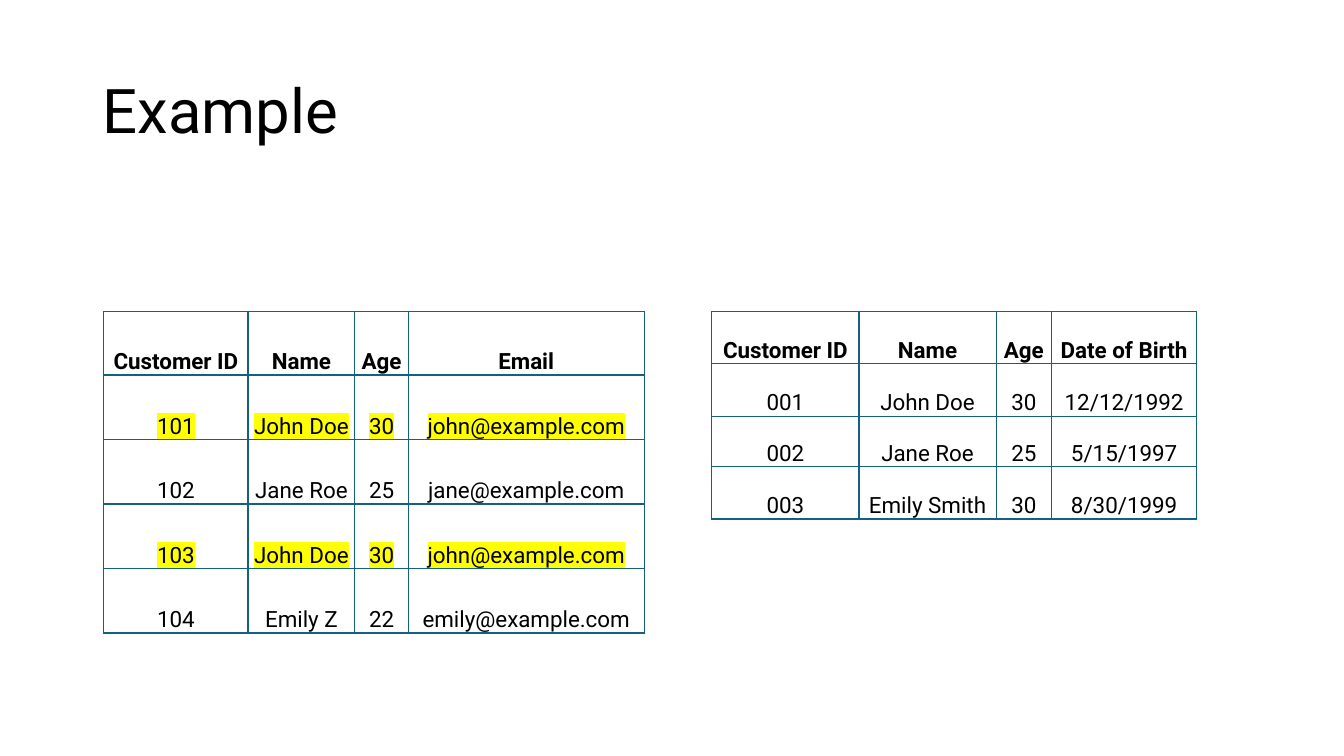
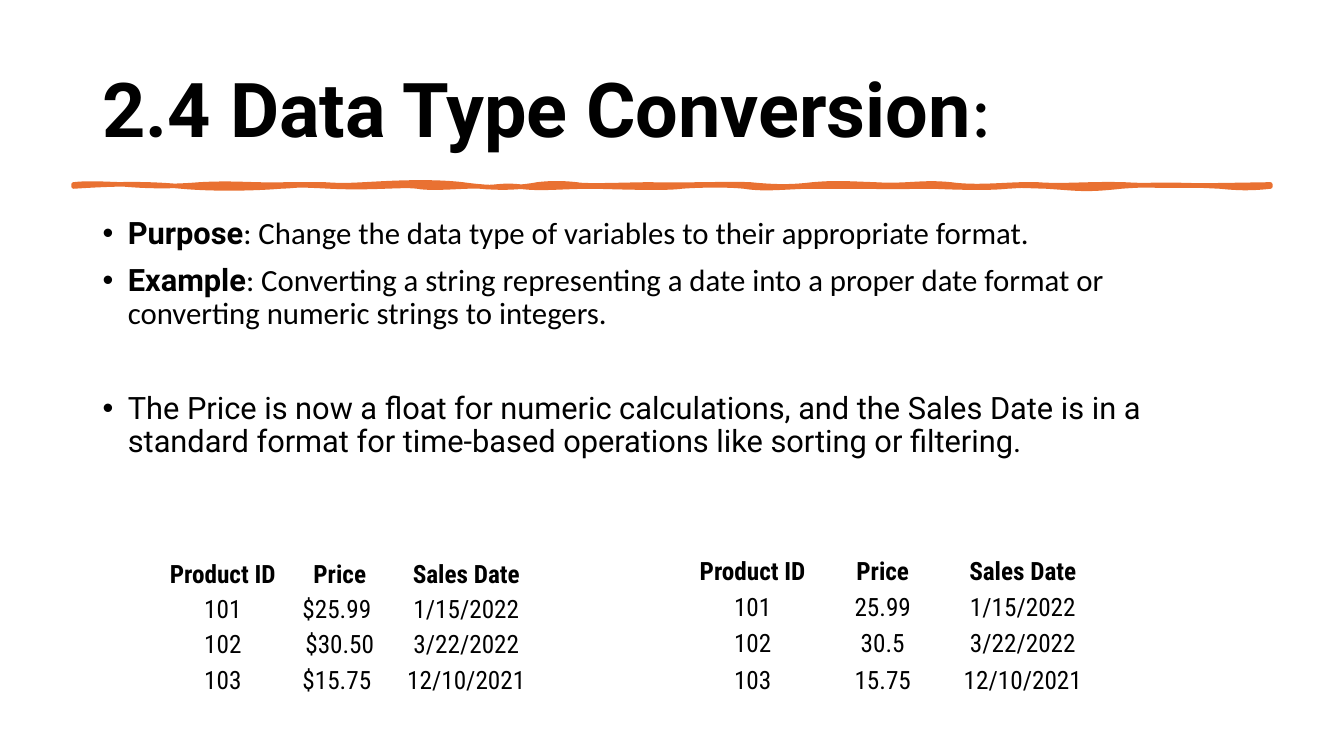
from dataclasses import dataclass

from lxml.etree import SubElement
from pptx import Presentation
from pptx.dml.color import RGBColor
from pptx.enum.text import MSO_ANCHOR, PP_ALIGN
from pptx.oxml.ns import qn
from pptx.util import Emu, Pt

PX = 9144  # EMU per px, 100 px to the inch


@dataclass(frozen=True)
class Theme:
    text: str = "000000"
    border: str = "156082"
    highlight: str = "FFFF00"
    accent: str = "E97132"
    sans: str = "Roboto"
    condensed: str = "Roboto Condensed"
    plain: str = "Calibri"
    title: int = 44
    big_title: int = 54
    body: int = 22
    grid: int = 16
    list: int = 18
    rule: float = 3.25


THEME = Theme()

# Hand-drawn rule: curve segments as (control x, dy, control x, dy, end x)
RULE_START = (73, 183)
RULE_THICKNESS = 2
RULE_TOP = [
    (89, -2, 111, 0, 124), (136, 1, 162, 3, 198), (234, -2, 251, 1, 284),
    (317, 0, 307, 0, 322), (338, 1, 342, 1, 361), (380, -1, 424, -4, 459),
    (494, 5, 517, 3, 533), (549, -2, 563, -1, 572), (581, 2, 625, 0, 646),
    (667, 1, 723, -1, 744), (765, 2, 782, 3, 806), (830, -2, 838, -1, 868),
    (899, 2, 914, -3, 943), (972, 4, 1002, -1, 1029),
    (1055, 2, 1078, -1, 1115), (1151, 2, 1199, 1, 1260),
]
RULE_BOTTOM = [
    (1242, 2, 1230, 2, 1210), (1190, -1, 1149, -3, 1112),
    (1075, 4, 1070, 2, 1038), (1005, -1, 1018, -1, 999),
    (980, 2, 948, 1, 925), (902, 0, 884, 1, 863), (841, 0, 828, 0, 800),
    (773, 1, 757, 3, 738), (719, -2, 688, -1, 676), (663, 2, 624, 1, 590),
    (555, 0, 537, 3, 515), (494, -2, 491, 2, 477), (463, -1, 430, 3, 414),
    (399, -2, 371, 2, 328), (286, -2, 303, -1, 278), (253, 2, 213, 3, 180),
    (147, -3, 118, -3, 73),
]

# Table contents
CUSTOMERS = [
    ["Customer ID", "Name", "Age", "Email"],
    ["101", "John Doe", "30", "john@example.com"],
    ["102", "Jane Roe", "25", "jane@example.com"],
    ["103", "John Doe", "30", "john@example.com"],
    ["104", "Emily Z", "22", "emily@example.com"],
]
BIRTHS = [
    ["Customer ID", "Name", "Age", "Date of Birth"],
    ["001", "John Doe", "30", "12/12/1992"],
    ["002", "Jane Roe", "25", "5/15/1997"],
    ["003", "Emily Smith", "30", "8/30/1999"],
]
SALES_HEADER = ["Product ID", "Price", "Sales Date"]
SALES_KEYS = [("101", "1/15/2022"), ("102", "3/22/2022"),
              ("103", "12/10/2021")]


def px(n):
    return Emu(n * PX)


def style_run(r, size, font, bold=False):
    r.font.size = Pt(size)
    r.font.name = font
    r.font.bold = bold
    r.font.color.rgb = RGBColor.from_string(THEME.text)


def add_runs(p, size, runs):
    """Fill a paragraph from (text, font, bold) triples."""
    p.line_spacing = 0.9
    for text, font, bold in runs:
        r = p.add_run()
        r.text = text
        style_run(r, size, font, bold)


def add_textbox(slide, x, y, w, h):
    tf = slide.shapes.add_textbox(px(x), px(y), px(w), px(h)).text_frame
    tf.word_wrap = True
    return tf


def add_title(slide, size, runs):
    tf = add_textbox(slide, 92, 40, 1150, 145)
    tf.vertical_anchor = MSO_ANCHOR.MIDDLE
    add_runs(tf.paragraphs[0], size, runs)


def add_bullets(slide, items):
    """Add a bulleted list from (space before, runs) pairs."""
    tf = add_textbox(slide, 92, 211, 1150, 465)
    for i, (space, runs) in enumerate(items):
        p = tf.add_paragraph() if i else tf.paragraphs[0]
        add_runs(p, THEME.body, runs)
        p.space_before = Pt(space)
        pPr = p._p.get_or_add_pPr()
        pPr.set("marL", str(px(25)))
        pPr.set("indent", str(px(-25)))
        SubElement(pPr, qn("a:buFont")).set("typeface", "Arial")
        SubElement(pPr, qn("a:buChar")).set("char", "•")


# Tables
def add_color(parent, color):
    fill = SubElement(parent, qn("a:solidFill"))
    SubElement(fill, qn("a:srgbClr")).set("val", color)


def add_borders(cell, color):
    tcPr = cell._tc.get_or_add_tcPr()
    for i, side in enumerate(("lnL", "lnR", "lnT", "lnB")):
        ln = SubElement(tcPr, qn(f"a:{side}"))
        ln.set("w", str(Pt(1)))
        add_color(ln, color)
        tcPr.insert(i, ln)  # borders come before the fill


def add_highlight(r, color):
    rPr = r._r.get_or_add_rPr()
    mark = SubElement(rPr, qn("a:highlight"))
    SubElement(mark, qn("a:srgbClr")).set("val", color)
    rPr.find(qn("a:solidFill")).addnext(mark)


def fill_cell(cell, text, size, font, bold):
    cell.fill.background()
    cell.vertical_anchor = MSO_ANCHOR.BOTTOM
    cell.margin_left = cell.margin_right = cell.margin_top = px(1)
    cell.margin_bottom = 0
    p = cell.text_frame.paragraphs[0]
    p.text = text
    p.alignment = PP_ALIGN.CENTER
    style_run(p.runs[0], size, font, bold)


def add_data_table(slide, x, y, widths, heights, data, size, font,
                   border=None, marked=()):
    frame = slide.shapes.add_table(len(data), len(widths), px(x), px(y),
                                   px(sum(widths)), px(sum(heights)))
    table = frame.table
    table.first_row = table.horz_banding = False
    for column, w in zip(table.columns, widths):
        column.width = px(w)
    for i, (row, h, values) in enumerate(zip(table.rows, heights, data)):
        row.height = px(h)
        for cell, text in zip(row.cells, values):
            fill_cell(cell, text, size, font, bold=i == 0)
            if border:
                add_borders(cell, border)
            if i in marked:
                add_highlight(cell.text_frame.paragraphs[0].runs[0],
                              THEME.highlight)


def add_sales_table(slide, x, widths, heights, prices):
    rows = [[key, price, date]
            for (key, date), price in zip(SALES_KEYS, prices)]
    add_data_table(slide, x, 521, widths, heights, [SALES_HEADER] + rows,
                   THEME.list, THEME.condensed)


# Hand-drawn rule
def bend(line, left, y, segment):
    """Turn a straight segment into a cubic curve."""
    x1, d1, x2, d2, end = segment
    curve = line.makeelement(qn("a:cubicBezTo"))
    for x, dy in ((x1, d1), (x2, d2), (end, 0)):
        pt = SubElement(curve, qn("a:pt"))
        pt.set("x", str(px(x - left)))
        pt.set("y", str(px(y + dy)))
    line.getparent().replace(line, curve)


def add_rule(slide):
    left, y = RULE_START
    base = y + RULE_THICKNESS
    top = [(s[-1], y) for s in RULE_TOP]
    bottom = [(s[-1], base) for s in RULE_BOTTOM]
    corners = top + [(top[-1][0], base)] + bottom
    builder = slide.shapes.build_freeform(px(left), px(y))
    builder.add_line_segments([(px(a), px(b)) for a, b in corners], close=True)
    sp = builder.convert_to_shape()
    lines = list(sp._element.iter(qn("a:lnTo")))
    for line, segment in zip(lines, RULE_TOP):
        bend(line, left, 0, segment)
    for line, segment in zip(lines[len(top) + 1:], RULE_BOTTOM):
        bend(line, left, RULE_THICKNESS, segment)
    sp.shadow.inherit = False
    color = RGBColor.from_string(THEME.accent)
    sp.fill.solid()
    sp.fill.fore_color.rgb = color
    sp.line.color.rgb = color
    sp.line.width = Pt(THEME.rule)
    SubElement(sp.line._get_or_add_ln(), qn("a:round"))


# Slides
def build_example(slide):
    add_title(slide, THEME.title, [("Example", THEME.sans, False)])
    add_data_table(slide, 103, 309, [143, 106, 53, 234],
                   [63, 64, 64, 64, 64], CUSTOMERS,
                   THEME.grid, THEME.sans, THEME.border, marked=(1, 3))
    add_data_table(slide, 706, 309, [146, 136, 55, 144], [52, 52, 50, 52],
                   BIRTHS, THEME.grid, THEME.sans, THEME.border)


def build_conversion(slide):
    add_title(slide, THEME.big_title, [
        ("2.4 Data Type Conversion", THEME.sans, True),
        (":", THEME.plain, False)])
    add_rule(slide)
    add_bullets(slide, [
        (10, [("Purpose", THEME.sans, True),
              (": Change the data type of variables to their appropriate "
               "format.", THEME.plain, False)]),
        (10, [("Example", THEME.sans, True),
              (": Converting a string representing a date into a proper date "
               "format or converting numeric strings to integers.",
               THEME.plain, False)]),
        (44, [("The Price is now a float for numeric calculations, and the "
               "Sales Date is in a standard format for time-based operations "
               "like sorting or filtering.", THEME.sans, False)]),
    ])
    add_sales_table(slide, 682, [129, 129, 149], [61, 36, 36, 36],
                    ["25.99", "30.5", "15.75"])
    add_sales_table(slide, 163, [116, 116, 135], [64, 35, 35, 35],
                    ["$25.99 ", "$30.50", "$15.75 "])


def main():
    prs = Presentation()
    prs.slide_width, prs.slide_height = px(1333), px(750)
    for build in (build_example, build_conversion):
        build(prs.slides.add_slide(prs.slide_layouts[6]))
    prs.save("out.pptx")


if __name__ == "__main__":
    main()
